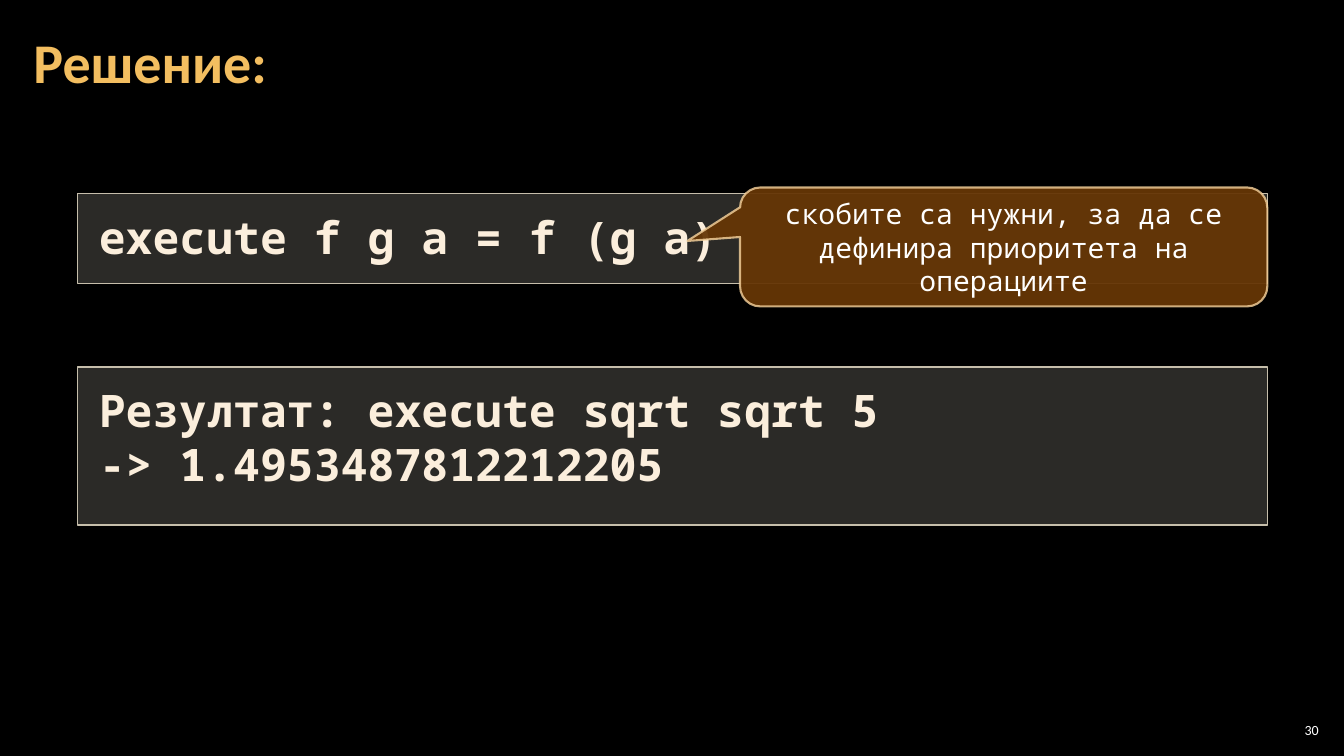
from lxml.etree import SubElement
from pptx import Presentation
from pptx.dml.color import RGBColor as Rgb
from pptx.enum.shapes import MSO_SHAPE as Shape
from pptx.enum.text import MSO_ANCHOR as Anchor, PP_ALIGN as Align
from pptx.oxml.ns import qn
from pptx.util import Inches, Pt

TITLE = "Решение:"
CODE = [
    # top, height, lines
    (1.92, 0.89, ["execute f g a = f (g a)"]),
    (3.64, 1.57, ["Резултат: execute sqrt sqrt 5", "-> 1.4953487812212205"]),
]
NOTE = "скобите са нужни, за да се дефинира приоритета на операциите"
NUMBER = "30"

WIDE, HIGH = 13.33, 7.5
LEFT, SPAN = 0.77, 11.8
NOTE_W = 5.23
MONO, SANS = "Noto Sans Mono", "Calibri"
LEAD = 1.2
HUE = {
    "back": "000000", "title": "F3BE60", "code": "FBEEDC", "white": "FFFFFF",
    "panel": "D9D4C6", "edge": "C6BEAB", "note": "663606", "rim": "F8D49E",
}


def tint(fill, name, alpha=100):
    """Give a fill a solid colour, see-through below 100."""
    fill.solid()
    fill.fore_color.rgb = Rgb.from_string(HUE[name])
    if alpha < 100:
        color = fill._xPr.find(qn("a:solidFill"))[0]
        SubElement(color, qn("a:alpha"), val=str(alpha * 1000))


def write(shape, lines, size, face, hue, pad, bold=False,
          align=Align.LEFT, anchor=Anchor.MIDDLE, lead=None):
    frame = shape.text_frame
    frame.word_wrap = True
    frame.vertical_anchor = anchor
    frame.margin_left = frame.margin_right = Inches(pad[0])
    frame.margin_top = frame.margin_bottom = Inches(pad[1])
    for i, line in enumerate(lines):
        para = frame.add_paragraph() if i else frame.paragraphs[0]
        para.alignment = align
        para.line_spacing = lead
        run = para.add_run()
        run.text = line
        run.font.size = Pt(size)
        run.font.name = face
        run.font.bold = bold
        run.font.color.rgb = Rgb.from_string(HUE[hue])


def panel(slide, kind, box, fill, line, width):
    """Add a shape; fill and line are (colour, opacity) pairs."""
    shape = slide.shapes.add_shape(kind, *map(Inches, box))
    shape.shadow.inherit = False
    tint(shape.fill, *fill)
    tint(shape.line.fill, *line)
    shape.line.width = Pt(width)
    return shape


def label(slide, box):
    return slide.shapes.add_textbox(*map(Inches, box))


def main():
    deck = Presentation()
    deck.slide_width, deck.slide_height = Inches(WIDE), Inches(HIGH)
    slide = deck.slides.add_slide(deck.slide_layouts[6])
    tint(slide.background.fill, "back")

    head = label(slide, (0.21, 0.04, 12.91, 1.21))
    write(head, [TITLE], 40, SANS, "title", (0.12, 0.04), bold=True, lead=0.9)

    for top, high, lines in CODE:
        block = panel(slide, Shape.RECTANGLE, (LEFT, top, SPAN, high),
                      ("panel", 20), ("edge",), 1)
        write(block, lines, 32, MONO, "code", (0.21, 0.16), bold=True,
              anchor=Anchor.TOP, lead=Pt(32 * LEAD))

    note = panel(slide, Shape.ROUNDED_RECTANGULAR_CALLOUT,
                 (LEFT + SPAN - NOTE_W, 1.86, NOTE_W, 1.18),
                 ("note", 95), ("rim", 80), 1.5)
    for i, value in enumerate((-0.6, -0.05, 0.17)):
        note.adjustments[i] = value
    write(note, [NOTE], 20, MONO, "white", (0.13, 0.07),
          align=Align.CENTER, lead=Pt(20 * LEAD))

    page = label(slide, (12.65, 7.14, 0.47, 0.21))
    write(page, [NUMBER], 10, SANS, "white", (0.04, 0.04), align=Align.RIGHT)

    deck.save("out.pptx")


if __name__ == "__main__":
    main()
